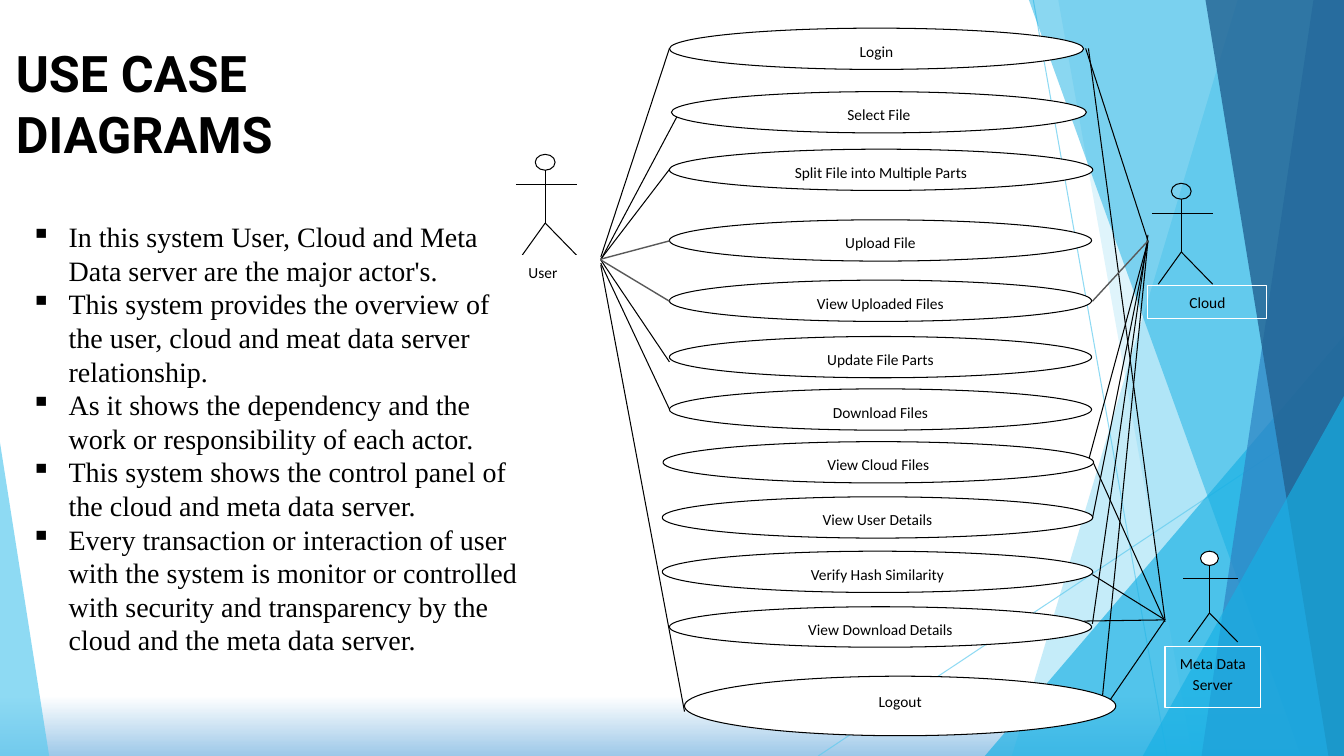
from lxml.etree import SubElement
from pptx import Presentation
from pptx.dml.color import RGBColor
from pptx.enum.shapes import MSO_CONNECTOR, MSO_SHAPE
from pptx.enum.text import MSO_ANCHOR, PP_ALIGN
from pptx.oxml.ns import qn
from pptx.util import Cm, Pt

WIDTH, HEIGHT = 33.87, 19.05
BLACK, WHITE, GREY = "000000", "FFFFFF", "595959"
SKY, AZURE, BLUE, NAVY = "5FCBEF", "17B0E4", "2E83C3", "226292"


def color(value):
    return RGBColor.from_string(value)


class Page:
    """Holds the current slide and draws its elements, lengths in centimetres."""

    label_font, title_font, body_font = "Calibri", "Roboto", "Times New Roman"

    def __init__(self, deck):
        self.slide = deck.slides.add_slide(deck.slide_layouts[6])
        self.shapes = self.slide.shapes

    def background(self, top, bottom, start):
        fill = self.slide.background.fill
        fill.gradient()
        fill.gradient_angle = 270
        for stop, value, position in zip(fill.gradient_stops, (top, bottom), (start, 1)):
            stop.color.rgb = color(value)
            stop.position = position

    def fade(self, shape, percent):
        solid = next(shape._element.spPr.iter(qn("a:srgbClr")))
        SubElement(solid, qn("a:alpha"), val=str(percent * 1000))

    def paint(self, shape, fill=None, line=None, opacity=100):
        shape.shadow.inherit = False
        if fill:
            shape.fill.solid()
            shape.fill.fore_color.rgb = color(fill)
            if opacity < 100:
                self.fade(shape, opacity)
        else:
            shape.fill.background()
        if line:
            shape.line.color.rgb = color(line)
            shape.line.width = Pt(0.75)
        else:
            shape.line.fill.background()

    def line(self, start, end, value=BLACK, width=0.75, opacity=100):
        points = [Cm(length) for length in (*start, *end)]
        line = self.shapes.add_connector(MSO_CONNECTOR.STRAIGHT, *points)
        line.line.color.rgb = color(value)
        line.line.width = Pt(width)
        SubElement(line._element.spPr, qn("a:effectLst"))
        if opacity < 100:
            self.fade(line, opacity)

    def band(self, top_left, bottom_left, fill, opacity):
        """A slanted panel that reaches the right edge of the slide."""
        builder = self.shapes.build_freeform(Cm(top_left), 0, scale=1.0)
        corners = [(WIDTH, 0), (WIDTH, HEIGHT), (bottom_left, HEIGHT)]
        builder.add_line_segments([(Cm(x), Cm(y)) for x, y in corners], close=True)
        self.paint(builder.convert_to_shape(), fill, opacity=opacity)

    def triangle(self, left, top, width, apex, fill, opacity):
        shape = self.shapes.add_shape(
            MSO_SHAPE.ISOSCELES_TRIANGLE, Cm(left), Cm(top), Cm(width), Cm(HEIGHT - top))
        shape.adjustments[0] = apex
        self.paint(shape, fill, opacity=opacity)

    def label(self, kind, text, left, top, width, height, fill=WHITE, line=BLACK):
        shape = self.shapes.add_shape(kind, Cm(left), Cm(top), Cm(width), Cm(height))
        self.paint(shape, fill, line)
        if not text:
            return
        frame = shape.text_frame
        frame.word_wrap = True
        frame.vertical_anchor = MSO_ANCHOR.TOP
        frame.text = text
        para = frame.paragraphs[0]
        para.alignment = PP_ALIGN.CENTER
        para.line_spacing = 1.15
        para.space_after = Pt(10)
        self.style(para, self.label_font, 11)

    def style(self, para, font, size, bold=False):
        for span in para.runs:
            span.font.name = font
            span.font.size = Pt(size)
            span.font.bold = bold
            span.font.color.rgb = color(BLACK)

    def actor(self, x, top, scale=1.0, head_fill=WHITE):
        def at(across, down):
            return x + across * scale, top + down * scale

        self.label(MSO_SHAPE.OVAL, "", *at(-0.25, 0), 0.5 * scale, 0.4 * scale, head_fill)
        hip = at(0, 1.73)
        self.line(at(0, 0.4), hip)
        self.line(at(-0.74, 0.76), at(0.79, 0.76))
        for foot in (-0.58, 0.79):
            self.line(hip, at(foot, 2.54))

    def text(self, paragraphs, left, top, width, height, font, size, bold=False, bullet=None):
        box = self.shapes.add_textbox(Cm(left), Cm(top), Cm(width), Cm(height))
        frame = box.text_frame
        frame.word_wrap = True
        for index, text in enumerate(paragraphs):
            para = frame.add_paragraph() if index else frame.paragraphs[0]
            para.text = text
            if bullet:
                properties = para._p.get_or_add_pPr()
                properties.set("marL", str(Cm(0.95)))
                properties.set("indent", str(-Cm(0.95)))
                SubElement(properties, qn("a:buChar"), char=bullet)
            self.style(para, font, size, bold)


# Use cases: name, left, top, width, height
USE_CASES = [
    ("Login", 16.87, 0.71, 10.44, 1.04),
    ("Select File", 16.92, 2.31, 10.46, 1.04),
    ("Split File into Multiple Parts", 16.87, 3.76, 10.67, 1.04),
    ("Upload File", 16.87, 5.54, 10.64, 1.04),
    ("View Uploaded Files", 16.87, 7.06, 10.64, 1.04),
    ("Update File Parts", 16.87, 8.48, 10.64, 1.04),
    ("Download Files", 16.87, 9.8, 10.64, 1.04),
    ("View Cloud Files", 16.71, 11.13, 10.85, 1.04),
    ("View User Details", 16.69, 12.52, 10.85, 1.04),
    ("Verify Hash Similarity", 16.69, 13.89, 10.85, 1.04),
    ("View Download Details", 16.87, 15.29, 10.64, 1.02),
    ("Logout", 17.25, 17.04, 10.87, 1.5),
]

# Links of each actor: hub x, then (hub y, end x, end y)
LINKS = {
    15.14: [(6.48, 16.87, 1.22), (6.55, 17.07, 2.92), (6.53, 16.87, 4.27),
            (6.55, 16.87, 9.12), (6.63, 16.87, 10.31), (6.68, 17.25, 17.93)],
    28.93: [(6.07, 27.36, 1.22), (6.07, 27.43, 11.61), (6.07, 27.53, 13.06),
            (5.92, 27.53, 15.72), (6.07, 27.74, 17.98)],
    29.36: [(15.62, 27.43, 1.22), (15.67, 27.53, 11.61), (15.62, 27.53, 14.48),
            (15.62, 27.31, 15.65), (15.62, 27.74, 17.98)],
}
GREY_LINKS = [
    ((15.14, 6.53), (16.87, 6.07)),
    ((15.14, 6.55), (16.87, 7.59)),
    ((27.53, 7.59), (28.93, 6.07)),
]

POINTS = [
    "In this system User, Cloud and Meta Data server are the major actor's.",
    "This system provides the overview of the user, cloud and meat data server relationship.",
    "As it shows the dependency and the work or responsibility of each actor.",
    "This system shows the control panel of the cloud and meta data server.",
    "Every transaction or interaction of user with the system is monitor or controlled "
    "with security and transparency by the cloud and the meta data server.",
]


def main():
    deck = Presentation()
    deck.slide_width, deck.slide_height = Cm(WIDTH), Cm(HEIGHT)
    page = Page(deck)

    # Backdrop
    page.background(WHITE, "9DC8E8", 0.92)
    page.line((26.04, 0), (29.41, HEIGHT), SKY, opacity=70)
    page.line((WIDTH, 10.24), (20.62, HEIGHT), SKY, opacity=70)
    page.band(31.19, 25.5, SKY, 36)
    page.band(26.67, 30.05, SKY, 20)
    page.triangle(24.82, 8.46, 9.05, 1, AZURE, 66)
    page.band(25.93, 32.79, AZURE, 50)
    page.band(33.1, 30.28, BLUE, 70)
    page.band(30.38, 33.48, NAVY, 80)
    page.triangle(28.8, 9.98, 5.07, 1, AZURE, 66)
    page.triangle(0, 11.15, 1.24, 0, SKY, 70)

    # Links and use cases
    for hub, ends in LINKS.items():
        for hub_y, x, y in ends:
            page.line((hub, hub_y), (x, y))
    for use_case in USE_CASES:
        page.label(MSO_SHAPE.OVAL, *use_case)
    for start, end in GREY_LINKS:
        page.line(start, end, GREY, 1)

    # Actors
    page.actor(13.74, 3.89)
    page.actor(29.77, 4.62, head_fill=None)
    page.actor(30.48, 13.89, scale=0.9)
    page.label(MSO_SHAPE.RECTANGLE, "User", 12.4, 6.43, 2.57, 0.69, WHITE, WHITE)
    page.label(MSO_SHAPE.RECTANGLE, "Cloud", 28.93, 7.19, 3, 0.84, None, WHITE)
    page.label(MSO_SHAPE.RECTANGLE, "Meta Data Server", 29.36, 16.28, 2.41, 1.55, None, WHITE)

    # Title and description
    page.text(["USE CASE\vDIAGRAMS"], 0.15, 0.94, 16.94, 3.33, page.title_font, 36, bold=True)
    page.text(POINTS, 0.53, 5.41, 12.85, 11.38, page.body_font, 20, bullet="▪")

    deck.save("out.pptx")


if __name__ == "__main__":
    main()
